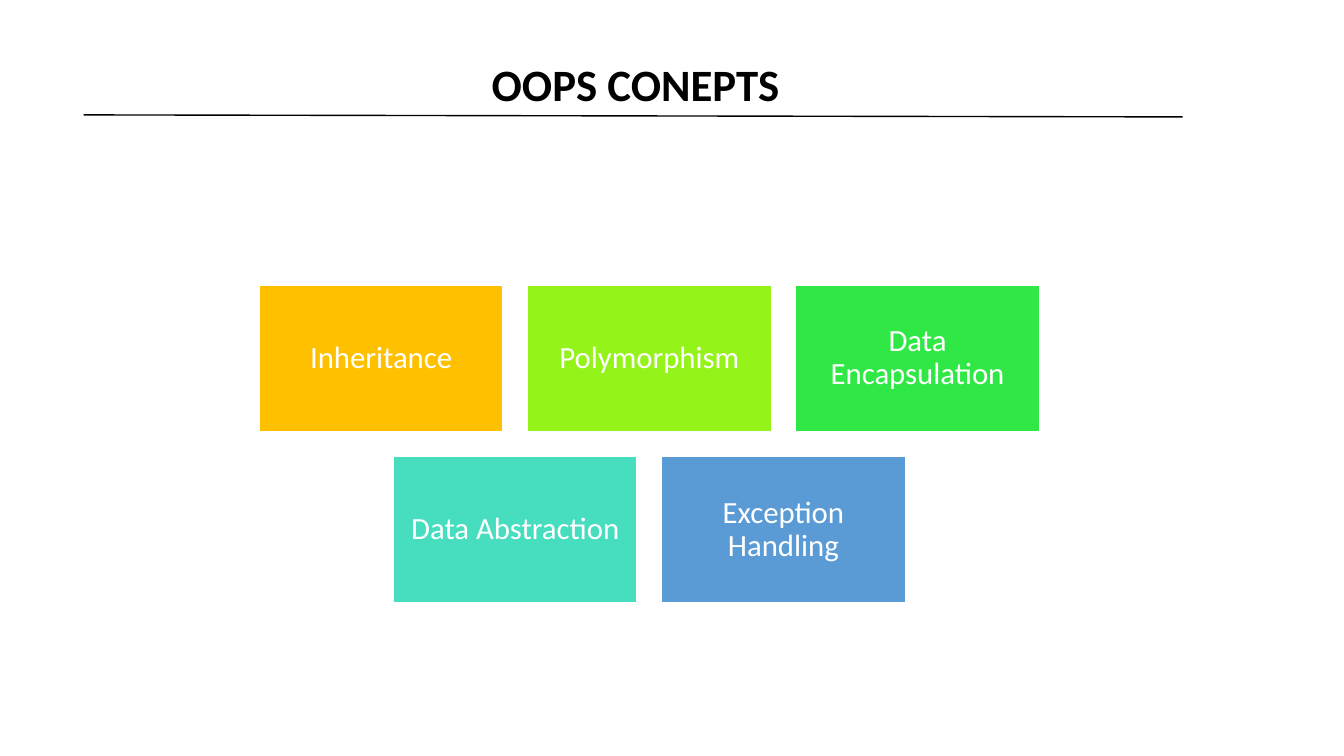
from pptx import Presentation
from pptx.dml.color import RGBColor
from pptx.enum.shapes import MSO_CONNECTOR, MSO_SHAPE
from pptx.enum.text import MSO_ANCHOR, PP_ALIGN
from pptx.oxml.ns import qn
from pptx.util import Inches, Pt
from lxml import etree

BLACK = RGBColor(0x00, 0x00, 0x00)
WHITE = RGBColor(0xFF, 0xFF, 0xFF)
AMBER = RGBColor(0xFF, 0xC0, 0x00)
LIME = RGBColor(0x94, 0xF3, 0x19)
GREEN = RGBColor(0x30, 0xE8, 0x45)
TEAL = RGBColor(0x46, 0xDE, 0xBF)
BLUE = RGBColor(0x5B, 0x9B, 0xD5)
RECTANGLE = MSO_SHAPE.RECTANGLE
STRAIGHT = MSO_CONNECTOR.STRAIGHT
CENTER = PP_ALIGN.CENTER
TOP, MIDDLE = MSO_ANCHOR.TOP, MSO_ANCHOR.MIDDLE
FONT = "Calibri"

# Content
TITLE = "OOPS CONEPTS"
CONCEPT_ROWS = [
    [("Inheritance", AMBER), ("Polymorphism", LIME), ("Data Encapsulation", GREEN)],
    [("Data Abstraction", TEAL), ("Exception Handling", BLUE)],
]

# Layout in inches: rows are centred on one axis
BOX_WIDTH, BOX_HEIGHT = 2.42, 1.45
COLUMN_STEP, ROW_STEP = 2.66, 1.7
ROWS_CENTER, ROWS_TOP = 6.44, 2.83


def write(shape, text, size, color, anchor, bold=False):
    frame = shape.text_frame
    frame.word_wrap = True
    frame.vertical_anchor = anchor
    para = frame.paragraphs[0]
    para.text = text
    para.alignment = CENTER
    para.font.name = FONT
    para.font.size = Pt(size)
    para.font.bold = bold
    para.font.color.rgb = color
    return frame, para


def add_concept(page, text, fill, left, top):
    box = page.shapes.add_shape(RECTANGLE, Inches(left), Inches(top),
                                Inches(BOX_WIDTH), Inches(BOX_HEIGHT))
    box.shadow.inherit = False
    box.fill.solid()
    box.fill.fore_color.rgb = fill
    box.line.color.rgb = WHITE
    box.line.width = Pt(1)
    frame, para = write(box, text, 22, WHITE, MIDDLE)
    frame.margin_left = frame.margin_right = Inches(0.09)
    frame.margin_top = frame.margin_bottom = Inches(0.09)
    para.line_spacing = 0.9


deck = Presentation()
deck.slide_width, deck.slide_height = Inches(13.33), Inches(7.5)
page = deck.slides.add_slide(deck.slide_layouts[5])

# Title
title = page.shapes.title
title.left, title.top = Inches(0.83), Inches(0.51)
title.width, title.height = Inches(10.95), Inches(0.64)
frame, para = write(title, TITLE, 32, BLACK, TOP, bold=True)

# Concept boxes
for row, concepts in enumerate(CONCEPT_ROWS):
    row_width = (len(concepts) - 1) * COLUMN_STEP + BOX_WIDTH
    row_left = ROWS_CENTER - row_width / 2
    for column, (text, fill) in enumerate(concepts):
        add_concept(page, text, fill, row_left + column * COLUMN_STEP,
                    ROWS_TOP + row * ROW_STEP)

# Rule under the title
rule = page.shapes.add_connector(STRAIGHT, Inches(0.83), Inches(1.14),
                                 Inches(11.73), Inches(1.16))
rule.line.color.rgb = BLACK
rule.line.width = Pt(1)
etree.SubElement(rule._element.spPr, qn("a:effectLst"))

deck.save("out.pptx")
